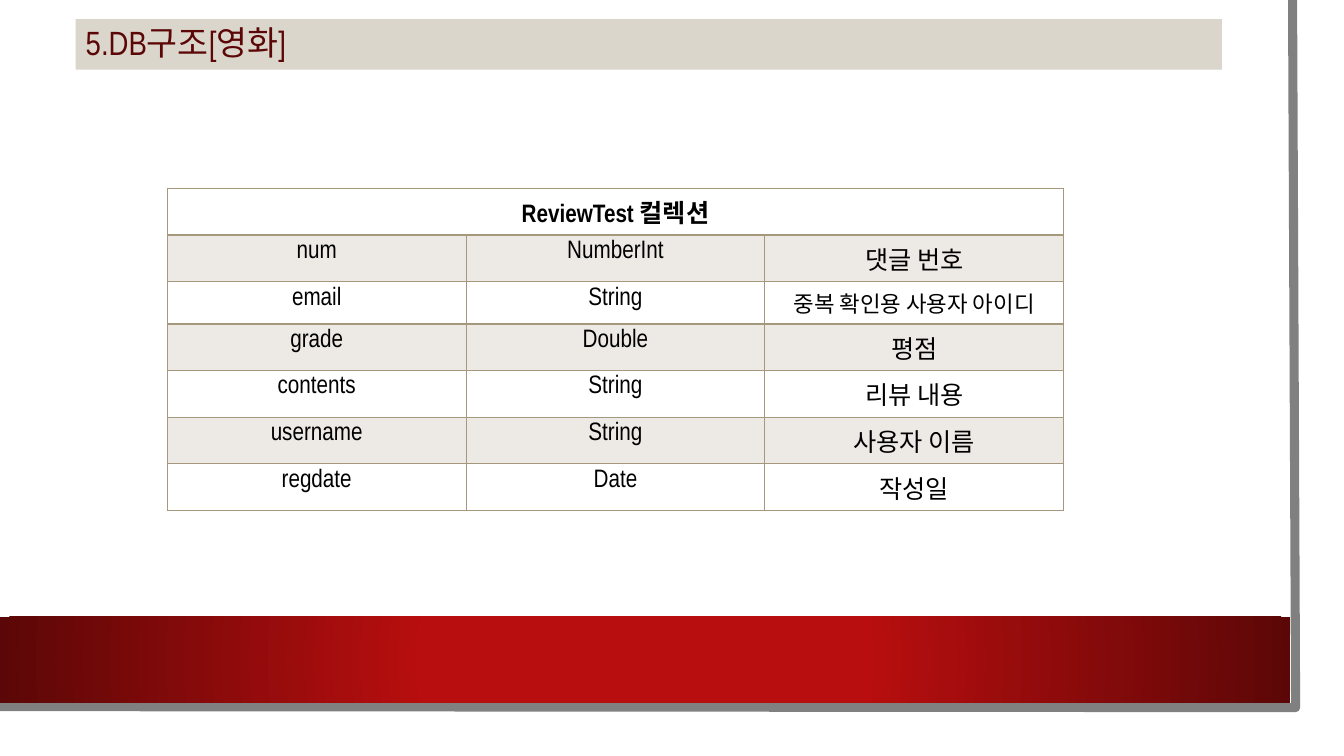
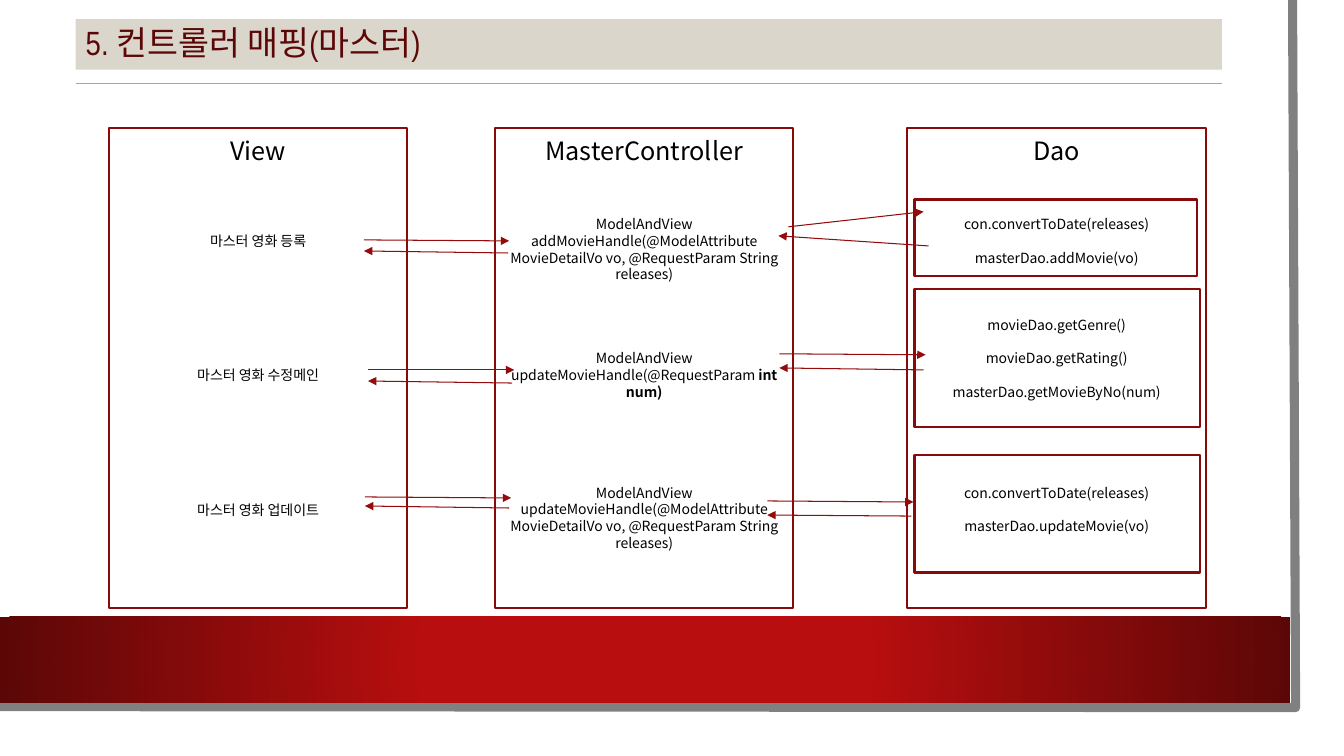
from lxml import etree
from pptx import Presentation
from pptx import util as u
from pptx.dml.color import RGBColor
from pptx.enum import shapes, text
from pptx.oxml.ns import qn

WHITE = RGBColor(0xFF, 0xFF, 0xFF)
BLACK = RGBColor(0x00, 0x00, 0x00)
RED = RGBColor(0xB8, 0x0E, 0x0F)
DARK_RED = RGBColor(0x5C, 0x07, 0x07)
BOX_RED = RGBColor(0x88, 0x0A, 0x0B)
ARROW_RED = RGBColor(0x93, 0x0B, 0x0C)
FRAME_GRAY = RGBColor(0x80, 0x80, 0x80)
RULE_GRAY = RGBColor(0xA6, 0xA6, 0xA6)
TITLE_BEIGE = RGBColor(0xDB, 0xD6, 0xCB)
TABLE_TAN = RGBColor(0xA6, 0x98, 0x7D)
ROW_TAN = RGBColor(0xED, 0xEA, 0xE5)

NARROW = "Arial Narrow"
NOTO = "Noto Sans CJK KR"

COLLECTION_TITLE = "ReviewTest 컬렉션"
FIELDS = [
    ("num", "NumberInt", "댓글 번호"),
    ("email", "String", "중복 확인용 사용자 아이디"),
    ("grade", "Double", "평점"),
    ("contents", "String", "리뷰 내용"),
    ("username", "String", "사용자 이름"),
    ("regdate", "Date", "작성일"),
]
SMALL_CELL = "중복 확인용 사용자 아이디"

LINE_POINTS = 12
COLUMN_TOP, COLUMN_WIDTH, COLUMN_HEIGHT = 1.27, 2.96, 4.76
MOVIE_HANDLE = "Handle(@ModelAttribute MovieDetailVo vo, @RequestParam String releases)"
# Each entry: lines of space above, then its runs as (text, bold).
COLUMNS = [
    (1.08, "View", [
        (4, [("마스터 영화 등록", False)]),
        (7, [("마스터 영화 수정메인", False)]),
        (7, [("마스터 영화 업데이트", False)]),
    ]),
    (4.91, "MasterController", [
        (3, [("ModelAndView addMovie" + MOVIE_HANDLE, False)]),
        (4, [("ModelAndView updateMovieHandle(@RequestParam ", False), ("int num)", True)]),
        (5, [("ModelAndView updateMovie" + MOVIE_HANDLE, False)]),
    ]),
    (9.0, "Dao", [
        (3, [("con.convertToDate(releases)", False)]),
        (1, [("masterDao.addMovie(vo)", False)]),
        (3, [("movieDao.getGenre()", False)]),
        (1, [("movieDao.getRating()", False)]),
        (1, [("masterDao.getMovieByNo(num)", False)]),
        (5, [("con.convertToDate(releases)", False)]),
        (1, [("masterDao.updateMovie(vo)", False)]),
    ]),
]
DAO_GROUPS = [(1.98, 2.8, 0.76), (2.87, 2.83, 1.37), (4.51, 2.83, 1.17)]
ARROWS = [
    (3.61, 2.38, 5.05, 2.39), (5.04, 2.51, 3.61, 2.49),
    (3.65, 3.67, 5.1, 3.67), (5.08, 3.8, 3.65, 3.78),
    (3.62, 4.93, 5.07, 4.94), (5.05, 5.04, 3.62, 5.02),
    (7.82, 2.25, 9.16, 2.1), (9.21, 2.44, 7.72, 2.34),
    (7.73, 3.51, 9.18, 3.52), (9.16, 3.67, 7.73, 3.65),
    (7.61, 4.97, 9.06, 4.98), (9.04, 5.12, 7.61, 5.11),
]


def inches(*values):
    return [u.Inches(value) for value in values]


def add_run(paragraph, words, size, font, color=BLACK, bold=False):
    run = paragraph.add_run()
    run.text = words
    run.font.size = u.Pt(size)
    run.font.name = font
    run.font.bold = bold
    run.font.color.rgb = color
    east_asian = etree.SubElement(run.font._element, qn("a:ea"))
    east_asian.set("typeface", NOTO)


def add_line(slide, ends, color, arrow=False):
    line = slide.shapes.add_connector(shapes.MSO_CONNECTOR.STRAIGHT, *inches(*ends))
    line.line.color.rgb = color
    line.line.width = u.Pt(0.75)
    if arrow:
        tail = etree.SubElement(line.line._get_or_add_ln(), qn("a:tailEnd"))
        tail.set("type", "triangle")
    etree.SubElement(line.element.spPr, qn("a:effectLst"))


def add_box(slide, left, top, width, height):
    box = slide.shapes.add_shape(
        shapes.MSO_SHAPE.RECTANGLE, *inches(left, top, width, height))
    box.shadow.inherit = False
    box.fill.background()
    box.line.color.rgb = BOX_RED
    box.line.width = u.Pt(1.5)
    return box


def add_master_frame(presentation, slide):
    builder = slide.shapes.build_freeform(*inches(12.82, 0), scale=1.0)
    builder.add_line_segments(
        [inches(12.85, 7.02), inches(-0.03, 7.01)], close=False)
    edge = builder.convert_to_shape()
    edge.shadow.inherit = False
    edge.fill.background()
    edge.line.color.rgb = FRAME_GRAY
    edge.line.width = u.Pt(6.5)

    band = slide.shapes.add_shape(
        shapes.MSO_SHAPE.RECTANGLE, *inches(0, 6.12, 12.8, 0.85))
    band.shadow.inherit = False
    band.line.fill.background()
    band.fill.gradient()
    stops = zip(band.fill.gradient_stops, [(0.34, RED), (1.0, DARK_RED)])
    for stop, (position, color) in stops:
        stop.position = position
        stop.color.rgb = color
    gradient = band.element.spPr.find(qn("a:gradFill"))
    gradient.remove(gradient.find(qn("a:lin")))
    circle = etree.SubElement(gradient, qn("a:path"))
    circle.set("path", "circle")
    center = etree.SubElement(circle, qn("a:fillToRect"))
    for side in "ltrb":
        center.set(side, "50000")

    tree = presentation.slide_master.element.cSld.spTree
    for index, shape in enumerate([edge, band]):
        tree.insert(2 + index, shape.element)


def add_titled_slide(presentation, words):
    slide = presentation.slides.add_slide(presentation.slide_layouts[5])
    title = slide.shapes.title
    title.left, title.top, title.width, title.height = inches(0.75, 0.19, 11.37, 0.5)
    title.fill.solid()
    title.fill.fore_color.rgb = TITLE_BEIGE
    frame = title.text_frame
    frame.auto_size = text.MSO_AUTO_SIZE.NONE
    frame.vertical_anchor = text.MSO_ANCHOR.MIDDLE
    paragraph = frame.paragraphs[0]
    paragraph.alignment = text.PP_ALIGN.LEFT
    paragraph.line_spacing = 0.9
    add_run(paragraph, words, 24, NARROW, DARK_RED)
    return slide


def format_cell(cell, words, shaded=False, heading=False, under_heading=False):
    properties = cell._tc.get_or_add_tcPr()
    widths = {"lnL": 1, "lnR": 1, "lnT": 2 if under_heading else 1,
              "lnB": 2 if heading else 1}
    for tag, points in widths.items():
        border = etree.SubElement(properties, qn("a:" + tag), w=str(u.Pt(points)))
        fill = etree.SubElement(border, qn("a:solidFill"))
        etree.SubElement(fill, qn("a:srgbClr"), val=str(TABLE_TAN))
    if shaded:
        cell.fill.solid()
        cell.fill.fore_color.rgb = ROW_TAN
    else:
        cell.fill.background()
    if words:
        paragraph = cell.text_frame.paragraphs[0]
        paragraph.alignment = text.PP_ALIGN.CENTER
        size = 16 if words == SMALL_CELL else 18
        add_run(paragraph, words, size, NARROW, bold=heading)


def add_collection_table(slide):
    table = slide.shapes.add_table(
        len(FIELDS) + 1, 3, *inches(1.66, 1.87, 8.89, 2.83)).table
    table.first_row = table.horz_banding = False
    for column in table.columns:
        column.width = u.Inches(8.89 / 3)
    for index, row in enumerate(table.rows):
        row.height = u.Inches(0.41 if index else 0.36)
    table.cell(0, 0).merge(table.cell(0, 2))
    for column, words in enumerate([COLLECTION_TITLE, "", ""]):
        format_cell(table.cell(0, column), words, heading=True)
    for row, field in enumerate(FIELDS, 1):
        for column, words in enumerate(field):
            format_cell(table.cell(row, column), words,
                        shaded=row % 2 == 1, under_heading=row == 1)


def add_column(slide, left, heading, entries):
    box = add_box(slide, left, COLUMN_TOP, COLUMN_WIDTH, COLUMN_HEIGHT)
    frame = box.text_frame
    frame.word_wrap = True
    frame.vertical_anchor = text.MSO_ANCHOR.TOP
    paragraph = frame.paragraphs[0]
    paragraph.alignment = text.PP_ALIGN.CENTER
    paragraph.line_spacing = u.Pt(23)
    add_run(paragraph, heading, 18, NOTO)
    for gap, runs in entries:
        paragraph = frame.add_paragraph()
        paragraph.alignment = text.PP_ALIGN.CENTER
        paragraph.line_spacing = u.Pt(LINE_POINTS)
        paragraph.space_before = u.Pt(gap * LINE_POINTS)
        for words, bold in runs:
            add_run(paragraph, words, 10, NOTO, bold=bold)


def main():
    presentation = Presentation()
    presentation.slide_width, presentation.slide_height = inches(13.33, 7.5)
    background = presentation.slide_master.background.fill
    background.solid()
    background.fore_color.rgb = WHITE

    database = add_titled_slide(presentation, "5.DB구조[영화]")
    add_master_frame(presentation, database)
    add_collection_table(database)

    mapping = add_titled_slide(presentation, "5. 컨트롤러 매핑(마스터)")
    add_line(mapping, (0.75, 0.83, 12.12, 0.83), RULE_GRAY)
    for column in COLUMNS:
        add_column(mapping, *column)
    for top, width, height in DAO_GROUPS:
        add_box(mapping, 9.07, top, width, height)
    for ends in ARROWS:
        add_line(mapping, ends, ARROW_RED, arrow=True)

    presentation.save("out.pptx")


if __name__ == "__main__":
    main()
